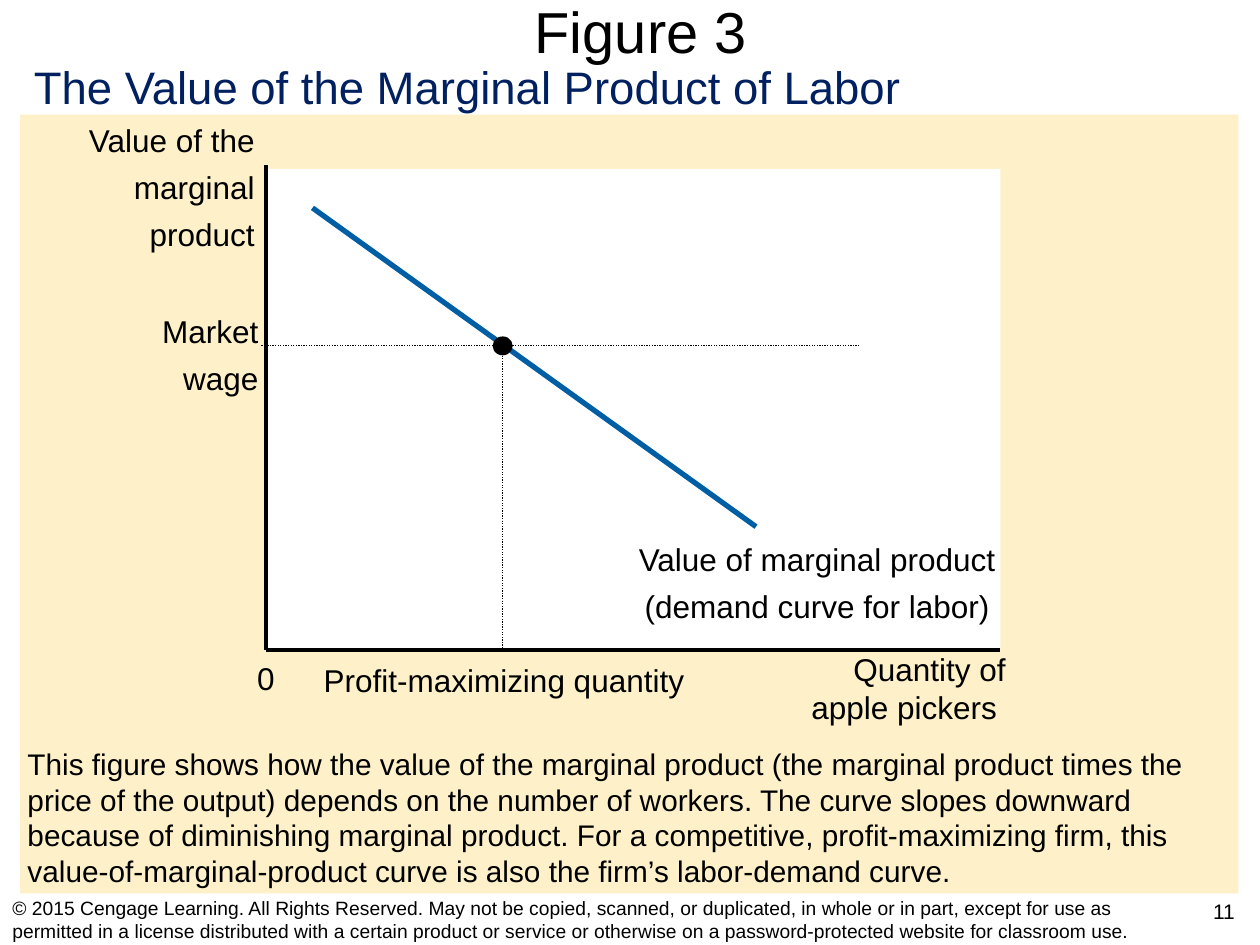
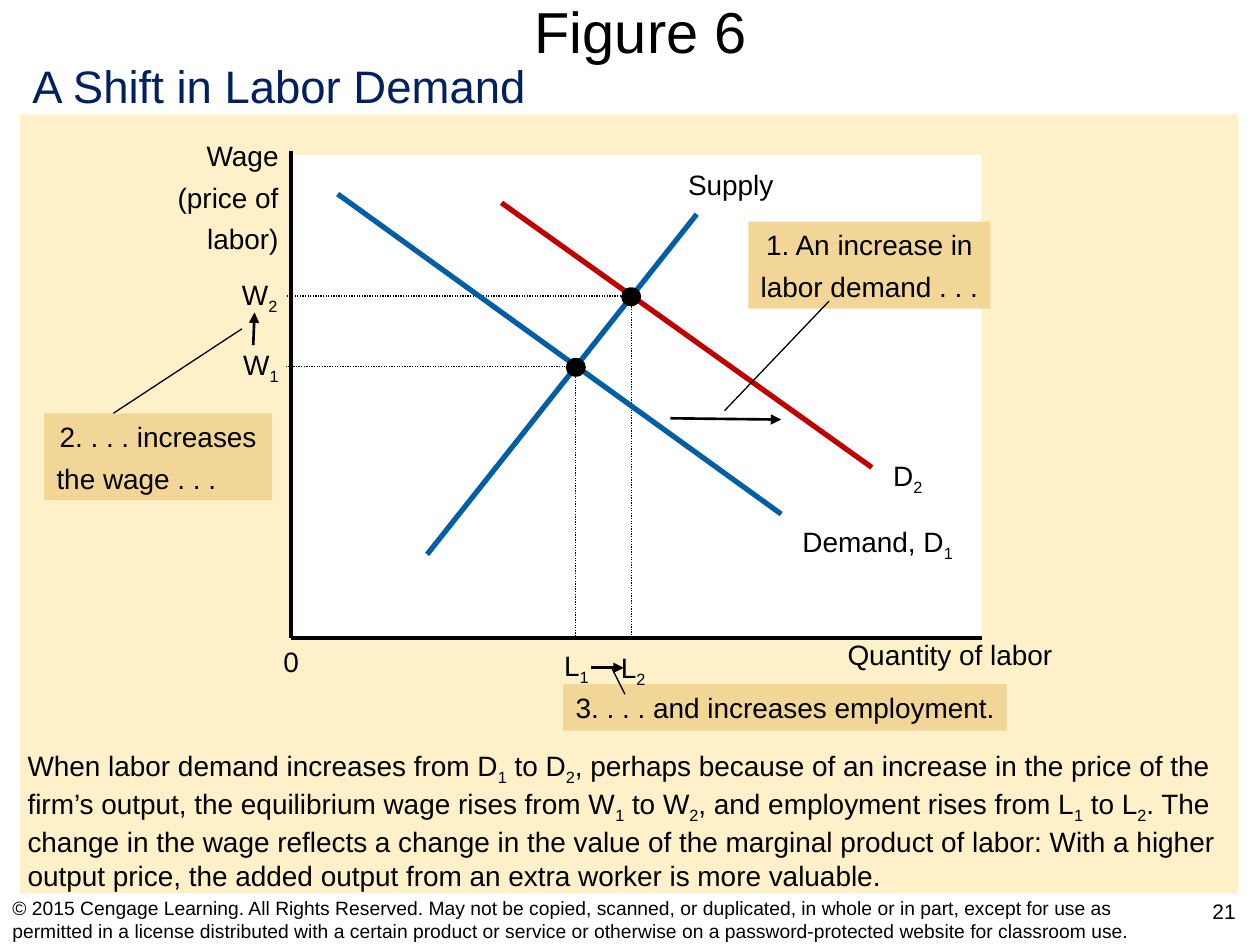
from lxml.etree import SubElement
from pptx import Presentation
from pptx.dml.color import RGBColor
from pptx.enum.dml import MSO_LINE_DASH_STYLE as DASH
from pptx.enum.shapes import MSO_CONNECTOR, MSO_SHAPE
from pptx.enum.text import MSO_ANCHOR, MSO_AUTO_SIZE, PP_ALIGN
from pptx.oxml.ns import qn
from pptx.util import Inches, Pt

FONT = "Arial"
COLORS = {
    "text": "000000", "subtitle": "002060", "band": "FEF0C8", "plot": "FFFFFF",
    "callout": "F2D698", "curve": "005EA4", "shifted": "C00000",
}
LEFT, CENTER, RIGHT = PP_ALIGN.LEFT, PP_ALIGN.CENTER, PP_ALIGN.RIGHT
COPYRIGHT = (
    "© 2015 Cengage Learning. All Rights Reserved. May not be copied, scanned, or "
    "duplicated, in whole or in part, except for use as permitted in a license "
    "distributed with a certain product or service or otherwise on a "
    "password-protected website for classroom use."
)

presentation = Presentation()
presentation.slide_width, presentation.slide_height = Inches(10), Inches(7.5)
CELL = presentation.slide_width // 10  # square grid, 10 columns by 7.5 rows

# Figures: all places are in grid cells
# label: (lines, (left, top, width, height), alignment, space before later lines)
# segment: (start, end, width in points, color, arrowhead at the end)
figures = [
    {
        "title": "Figure 3",
        "subtitle": "The Value of the Marginal Product of Labor",
        "subtitle_box": (0.17, 0.42, 7.11, 0.54),
        "number": "11",
        "axes": (2.11, 1.31, 7.94, 5.16),
        "label_size": 18,
        "equilibria": [(3.99, 2.74)],
        "guide_reach": 6.82,
        "segments": [((2.48, 1.65), (6, 4.18), 3, "curve", False)],
        "labels": [
            (["Value of the", "marginal", "product"], (0.59, 0.91, 1.53, 1.13), RIGHT, 5.2),
            (["Market", "wage"], (1.19, 2.43, 0.96, 0.77), RIGHT, 5.2),
            (["Value of marginal product", "(demand curve for labor)"],
             (4.96, 4.24, 3.05, 0.77), CENTER, 5.2),
            (["0"], (1.94, 5.18, 0.34, 0.4), CENTER, 0),
            (["Profit-maximizing quantity"], (2.47, 5.2, 3.06, 0.4), CENTER, 0),
            (["Quantity of", "apple pickers "], (6.34, 5.11, 1.74, 0.7), RIGHT, 0),
        ],
        "callouts": [],
        "summary": (
            "This figure shows how the value of the marginal product (the marginal product "
            "times the price of the output) depends on the number of workers. The curve slopes "
            "downward because of diminishing marginal product. For a competitive, "
            "profit-maximizing firm, this value-of-marginal-product curve is also the firm’s "
            "labor-demand curve."
        ),
        "summary_box": (0.12, 5.87, 9.77, 1.24),
        "summary_size": 17,
    },
    {
        "title": "Figure 6",
        "subtitle": "A Shift in Labor Demand",
        "subtitle_box": (0.16, 0.41, 4.14, 0.54),
        "number": "21",
        "axes": (2.31, 1.2, 7.79, 5.06),
        "label_size": 16,
        "equilibria": [(4.57, 2.91), (5.01, 2.35)],
        "guide_reach": None,
        "segments": [
            ((2.68, 1.54), (6.2, 4.08), 3, "curve", False),
            ((3.39, 4.4), (5.53, 1.7), 3, "curve", False),
            ((3.98, 1.61), (6.92, 3.71), 3, "shifted", False),
            ((5.32, 3.32), (6.2, 3.33), 1.5, "text", True),
            ((2.01, 2.74), (2.02, 2.48), 1.5, "text", True),
            ((4.69, 5.3), (4.95, 5.3), 1.5, "text", True),
            ((6.58, 2.39), (5.75, 3.26), 0.75, "text", False),
            ((0.9, 3.28), (1.92, 2.61), 0.75, "text", False),
            ((4.86, 5.31), (4.96, 5.51), 0.75, "text", False),
        ],
        "labels": [
            (["Wage", "(price of", "labor)"], (1.31, 1.05, 1, 1.01), RIGHT, 4.6),
            (["W_2"], (1.82, 2.15, 0.48, 0.41), CENTER, 0),
            (["W_1"], (1.83, 2.71, 0.48, 0.41), CENTER, 0),
            (["Supply"], (5.36, 1.28, 0.88, 0.37), CENTER, 0),
            (["D_2"], (6.99, 3.59, 0.43, 0.41), CENTER, 0),
            (["Demand, D_1"], (6.27, 4.11, 1.39, 0.41), CENTER, 0),
            (["0"], (2.15, 5.07, 0.32, 0.37), CENTER, 0),
            (["L_1"], (4.38, 5.1, 0.39, 0.41), CENTER, 0),
            (["L_2"], (4.83, 5.11, 0.39, 0.41), CENTER, 0),
            (["Quantity of labor"], (6.63, 5.01, 1.82, 0.37), CENTER, 0),
        ],
        # callout: (lines, box, alignment of each line)
        "callouts": [
            (["1. An increase in", "labor demand . . ."], (5.94, 1.76, 1.92, 0.69), [CENTER, CENTER]),
            (["2. . . . increases", "the wage . . ."], (0.35, 3.28, 1.81, 0.69), [CENTER, LEFT]),
            (["3. . . . and increases employment."], (4.47, 5.43, 3.52, 0.37), [LEFT]),
        ],
        "summary": (
            "When labor demand increases from D_1 to D_2, perhaps because of an increase in the "
            "price of the firm’s output, the equilibrium wage rises from W_1 to W_2, and "
            "employment rises from L_1 to L_2. The change in the wage reflects a change in the "
            "value of the marginal product of labor: With a higher output price, the added "
            "output from an extra worker is more valuable."
        ),
        "summary_box": (0.12, 5.89, 9.69, 1.24),
        "summary_size": 16,
    },
]


def write(shape, box, lines, size, alignment=LEFT, color="text", before=0,
          wrap=False, anchor=MSO_ANCHOR.TOP):
    """Place a shape and fill it with lines; "_" lowers the character after it."""
    shape.left, shape.top, shape.width, shape.height = [round(CELL * v) for v in box]
    frame = shape.text_frame
    frame.word_wrap, frame.vertical_anchor = wrap, anchor
    frame.auto_size = MSO_AUTO_SIZE.NONE
    for index, line in enumerate(lines):
        paragraph = frame.add_paragraph() if index else frame.paragraphs[0]
        paragraph.alignment = alignment
        paragraph.space_before = Pt(before if index else 0)
        normal, *lowered = line.split("_")
        pieces = [(normal, False)]
        for part in lowered:
            pieces += [(part[0], True), (part[1:], False)]
        for text, is_subscript in pieces:
            if not text:
                continue
            run = paragraph.add_run()
            run.text = text
            run.font.name, run.font.size = FONT, Pt(size)
            run.font.color.rgb = RGBColor.from_string(COLORS[color])
            if is_subscript:
                run._r.get_or_add_rPr().set("baseline", "-25000")


def draw_line(slide, start, end, width, color="text", arrow=False, dotted=False):
    connector = slide.shapes.add_connector(
        MSO_CONNECTOR.STRAIGHT, *[round(CELL * v) for v in (*start, *end)])
    connector.line.width = Pt(width)
    connector.line.color.rgb = RGBColor.from_string(COLORS[color])
    if dotted:
        connector.line.dash_style = DASH.ROUND_DOT
    properties = connector._element.spPr
    if arrow:
        SubElement(properties.find(qn("a:ln")), qn("a:tailEnd"), type="triangle")
    SubElement(properties, qn("a:effectLst"))


for figure in figures:
    slide = presentation.slides.add_slide(presentation.slide_layouts[5])
    shapes = slide.shapes
    left, top, right, bottom = figure["axes"]
    size = figure["label_size"]

    # Title, then the filled areas from back to front
    write(shapes.title, (0.35, 0, 9.47, 0.49), [figure["title"]], 33, CENTER,
          wrap=True, anchor=MSO_ANCHOR.MIDDLE)
    areas = [
        (MSO_SHAPE.RECTANGLE, (0.16, 0.91, 9.67, 6.18), "band"),
        (MSO_SHAPE.RECTANGLE,
         (left, top + 0.03, right - left, bottom - top - 0.04), "plot"),
    ]
    areas += [(MSO_SHAPE.RECTANGLE, box, "callout") for _, box, _ in figure["callouts"]]
    filled = []
    for kind, box, color in areas:
        area = shapes.add_shape(kind, *[round(CELL * v) for v in box])
        area.shadow.inherit = False
        area.fill.solid()
        area.fill.fore_color.rgb = RGBColor.from_string(COLORS[color])
        area.line.fill.background()
        filled.append(area)
    for callout, (lines, box, alignments) in zip(filled[2:], figure["callouts"]):
        write(callout, box, lines, size, before=4.6)
        for paragraph, alignment in zip(callout.text_frame.paragraphs, alignments):
            paragraph.alignment = alignment

    # Axes, dotted guides to both axes, curves and arrows
    draw_line(slide, (left, top), (left, bottom), 2.25)
    draw_line(slide, (left, bottom), (right, bottom), 2.25)
    for x, y in figure["equilibria"]:
        draw_line(slide, (x, y), (x, bottom), 0.75, dotted=True)
        draw_line(slide, (figure["guide_reach"] or x, y), (left - 0.04, y), 0.75, dotted=True)
    for start, end, width, color, arrow in figure["segments"]:
        draw_line(slide, start, end, width, color, arrow)

    # Equilibrium points
    for x, y in figure["equilibria"]:
        point = shapes.add_shape(
            MSO_SHAPE.OVAL, *[round(CELL * v) for v in (x - 0.08, y - 0.07, 0.16, 0.15)])
        point.shadow.inherit = False
        point.fill.solid()
        point.fill.fore_color.rgb = RGBColor.from_string(COLORS["text"])
        point.line.fill.background()

    # Labels
    for lines, box, alignment, before in figure["labels"]:
        write(shapes.add_textbox(0, 0, 0, 0), box, lines, size, alignment, before=before)

    # Subtitle, summary and footer
    write(shapes.add_textbox(0, 0, 0, 0), figure["subtitle_box"], [figure["subtitle"]],
          26, color="subtitle")
    write(shapes.add_textbox(0, 0, 0, 0), figure["summary_box"], [figure["summary"]],
          figure["summary_size"], wrap=True)
    write(shapes.add_textbox(0, 0, 0, 0), (0, 7.1, 9.42, 0.4), [COPYRIGHT], 11,
          wrap=True, anchor=MSO_ANCHOR.MIDDLE)
    write(shapes.add_textbox(0, 0, 0, 0), (9.43, 7.08, 0.57, 0.41), [figure["number"]],
          12, CENTER, wrap=True)

presentation.save("out.pptx")
